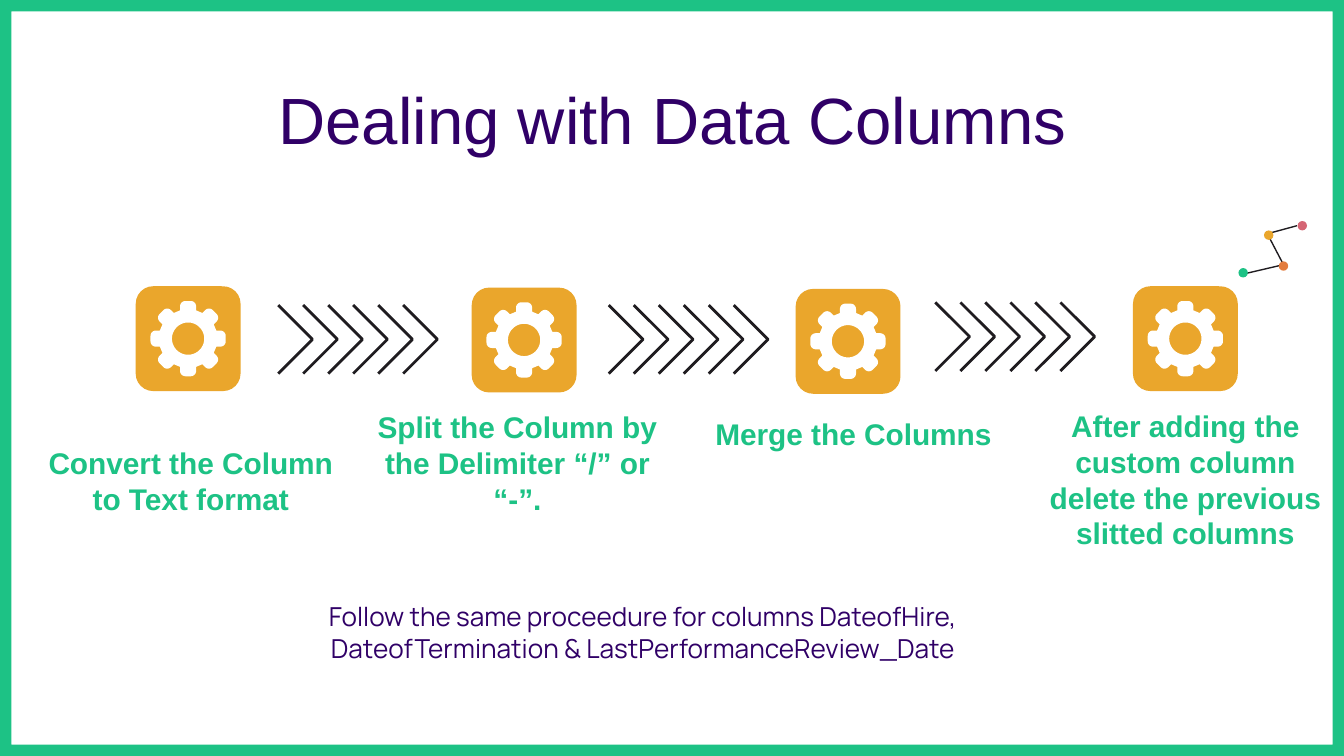
import math

from pptx import Presentation
from pptx import util as u
from pptx.dml.color import RGBColor
from pptx.enum import shapes, text

GREEN = RGBColor(0x1D, 0xC2, 0x85)
AMBER = RGBColor(0xEA, 0xA6, 0x2C)
ORANGE = RGBColor(0xE3, 0x7C, 0x3E)
ROSE = RGBColor(0xD5, 0x65, 0x74)
PURPLE = RGBColor(0x30, 0x00, 0x67)
INK = RGBColor(0x1F, 0x1C, 0x20)
WHITE = RGBColor(0xFF, 0xFF, 0xFF)

WIDTH = 10
HEIGHT = WIDTH * 9 / 16

TITLE = {"size": u.Pt(35), "name": "Arial"}
LABEL = {"size": u.Pt(16), "name": "Arial", "bold": True}
NOTE = {"size": u.Pt(14), "name": "Manrope"}

TILE = 0.78
TILES = [(1.01, 2.13), (3.51, 2.14), (5.92, 2.15), (8.43, 2.13)]
LABELS = [
    ("Convert the Column to Text format", (0.21, 2.94, 2.42, 1)),
    ("Split the Column by the Delimiter “/” or “-”.", (2.64, 2.94, 2.42, 1)),
    ("Merge the Columns", (5.14, 2.95, 2.42, 0.51)),
    ("After adding the custom column delete the previous slitted columns",
     (7.61, 3.03, 2.42, 1.17)),
]
CHEVRON_ROWS = [(2.07, 2.27), (4.53, 2.27), (6.96, 2.25)]
CHEVRONS, CHEVRON_SPAN, CHEVRON_HALF = 6, 0.93, 0.255
DOT = 0.07
DOTS = [(9.69, 1.68, ROSE), (9.44, 1.75, AMBER),
        (9.55, 1.98, ORANGE), (9.25, 2.03, GREEN)]


def add_text(page, words, place, font, color, anchor=text.MSO_ANCHOR.TOP):
    box = page.shapes.add_textbox(*map(u.Inches, place))
    frame = box.text_frame
    frame.word_wrap = True
    frame.vertical_anchor = anchor
    for side in ("left", "right", "top", "bottom"):
        setattr(frame, f"margin_{side}", u.Inches(0.1))
    para = frame.paragraphs[0]
    para.alignment = text.PP_ALIGN.CENTER
    span = para.add_run()
    span.text = words
    for name, value in font.items():
        setattr(span.font, name, value)
    span.font.color.rgb = color


def add_preset(parent, kind, place, color, adjust=None):
    shape = parent.shapes.add_shape(kind, *map(u.Inches, place))
    shape.shadow.inherit = False
    shape.fill.solid()
    shape.fill.fore_color.rgb = color
    shape.line.fill.background()
    if adjust is not None:
        shape.adjustments[0] = adjust


def add_outline(parent, contours, fill=None, width=None):
    """Draw contours as one freeform: filled and closed, or an open stroke."""
    builder = None
    for contour in contours:
        points = [(u.Inches(x), u.Inches(y)) for x, y in contour]
        if builder is None:
            builder = parent.shapes.build_freeform(*points[0])
        else:
            builder.move_to(*points[0])
        builder.add_line_segments(points[1:], close=fill is not None)
    shape = builder.convert_to_shape()
    shape.shadow.inherit = False
    if fill is None:
        shape.fill.background()
        shape.line.color.rgb = INK
        shape.line.width = u.Pt(width)
    else:
        shape.fill.solid()
        shape.fill.fore_color.rgb = fill
        shape.line.fill.background()


def add_gear(page, center_x, center_y):
    # One tooth pointing up, with rounded corners, turned eight times
    half, root, tip, corner = 0.06, 0.21, 0.28, 0.04
    tooth = [(-half, -root)]
    for side, start in ((-1, 180), (1, 270)):
        for angle in range(start, start + 91, 15):
            turn = math.radians(angle)
            tooth.append((side * (half - corner) + corner * math.cos(turn),
                          corner - tip + corner * math.sin(turn)))
    tooth.append((half, -root))
    rim = []
    for step in range(8):
        cos, sin = math.cos(step * math.pi / 4), math.sin(step * math.pi / 4)
        rim += [(center_x + x * cos - y * sin, center_y + x * sin + y * cos)
                for x, y in tooth]
    hole = [(center_x + 0.12 * math.cos(math.radians(angle)),
             center_y - 0.12 * math.sin(math.radians(angle)))
            for angle in range(0, 360, 6)]
    add_outline(page, [rim, hole], fill=WHITE)


def add_tile(page, left, top):
    add_preset(page, shapes.MSO_SHAPE.ROUNDED_RECTANGLE,
               (left, top, TILE, TILE), AMBER, 0.167)
    add_gear(page, left + TILE / 2, top + TILE / 2)


def add_chevron_row(page, left, top):
    group = page.shapes.add_group_shape()
    for index in range(CHEVRONS):
        x = left + index * CHEVRON_SPAN / (CHEVRONS - 1)
        add_outline(group, [[(x, top), (x + CHEVRON_HALF, top + CHEVRON_HALF),
                             (x, top + 2 * CHEVRON_HALF)]], width=1.5)


def add_dot_chain(page):
    group = page.shapes.add_group_shape()
    add_outline(group, [[(9.65, 1.68), (9.43, 1.74), (9.55, 1.97),
                         (9.25, 2.04)]], width=0.75)
    for x, y, color in DOTS:
        add_preset(group, shapes.MSO_SHAPE.OVAL,
                   (x - DOT / 2, y - DOT / 2, DOT, DOT), color)


def main():
    deck = Presentation()
    deck.slide_width, deck.slide_height = u.Inches(WIDTH), u.Inches(HEIGHT)
    page = deck.slides.add_slide(deck.slide_layouts[6])

    # Border and headline
    add_preset(page, shapes.MSO_SHAPE.FRAME, (0, 0, WIDTH, HEIGHT),
               GREEN, 0.015)
    add_text(page, "Dealing with Data Columns", (0.79, 0.49, 8.43, 0.63),
             TITLE, PURPLE)

    # Process steps
    for place in TILES:
        add_tile(page, *place)
    for place in CHEVRON_ROWS:
        add_chevron_row(page, *place)
    for words, place in LABELS:
        add_text(page, words, place, LABEL, GREEN, text.MSO_ANCHOR.BOTTOM)

    # Decoration and closing note
    add_dot_chain(page)
    add_text(page, "Follow the same proceedure for columns DateofHire, "
             "DateofTermination & LastPerformanceReview_Date",
             (2.02, 4.37, 5.53, 1.17), NOTE, PURPLE)

    deck.save("out.pptx")


if __name__ == "__main__":
    main()
